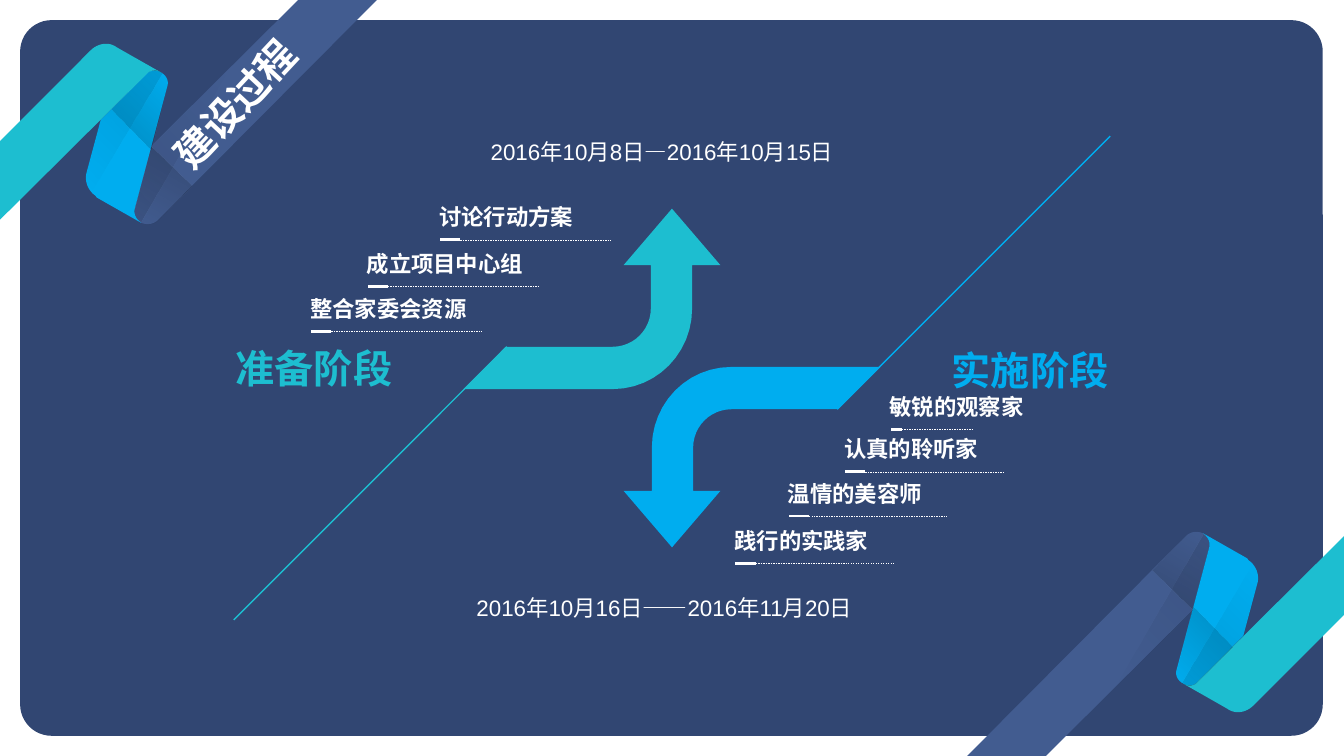
from lxml.etree import SubElement
from pptx import Presentation
from pptx.dml.color import RGBColor
from pptx.enum.dml import MSO_LINE
from pptx.enum.shapes import MSO_CONNECTOR, MSO_SHAPE
from pptx.enum.text import MSO_ANCHOR, PP_ALIGN
from pptx.oxml.ns import qn
from pptx.util import Inches, Pt

COLS, ROWS = 1334, 750
UNIT = Inches(13.34) // COLS

WHITE = RGBColor(0xFF, 0xFF, 0xFF)
BLACK = RGBColor(0, 0, 0)
NAVY = RGBColor(0x31, 0x46, 0x72)
SLATE = RGBColor(0x42, 0x5C, 0x90)
BLUE = RGBColor(0x00, 0xAD, 0xEF)
TEAL = RGBColor(0x1D, 0xBE, 0xD0)

LATIN, CJK = "Arial", "Noto Sans CJK SC"

SLATE_TURN = [(151, 223, 145, 223, 140, 221), (136, 218, 132, 213, 134, 206)]
BLUE_TURN = [(149, 69, 155, 69, 160, 72), (165, 75, 168, 80, 166, 86)]
RIBBON = [
    (SLATE, [(374, 0), (156, 219), *SLATE_TURN, (150, 145), (296, 0)]),
    ((0, 20, 300), [(150, 145), (190, 184), (156, 219), *SLATE_TURN]),
    ((10, 0, 315), [(229, 66), (140, 220), SLATE_TURN[1], (150, 145)]),
    (BLUE, [(166, 86), (134, 206), (132, 213, 136, 218, 140, 221), (96, 196),
            (95, 194, 93, 193, 92, 192), (86, 186, 84, 178, 86, 171),
            (100, 119), (145, 74), *BLUE_TURN]),
    (TEAL, [(160, 72), (155, 69, 149, 69, 145, 74), (0, 218), (0, 140),
            (90, 50), (97, 43, 108, 41, 116, 47)]),
    ((0, 20, 135), [(150, 148), (111, 108), (145, 74), *BLUE_TURN]),
    ((0, 10, 315), [(161, 72), (91, 191), (86, 186, 84, 178, 86, 171),
                    (100, 119), (145, 74), BLUE_TURN[0]]),
]
ARROW = [(228, 179), (270, 137), (376, 137), (397, 137, 414, 120, 414, 99),
         (414, 56), (387, 56), (435, 0), (483, 56), (455, 56), (455, 99),
         (455, 143, 420, 179, 376, 179)]


def add_text(slide, box, text, size=16, color=WHITE, bold=False, font=LATIN,
             align=PP_ALIGN.LEFT, wrap=True, anchor=MSO_ANCHOR.TOP, rotation=0,
             spacing=None):
    s = slide.shapes.add_textbox(*(v * UNIT for v in box))
    s.rotation = rotation
    tf = s.text_frame
    tf.margin_left = tf.margin_right = tf.margin_top = tf.margin_bottom = 0
    tf.word_wrap = wrap
    tf.vertical_anchor = anchor
    p = tf.paragraphs[0]
    p.alignment = align
    p.line_spacing = spacing
    r = p.add_run()
    r.text = text
    r.font.size = Pt(size)
    r.font.bold = bold
    r.font.color.rgb = color
    r.font.name = font
    SubElement(r.font._element, qn("a:ea")).set("typeface", CJK)


def add_line(slide, start, end, color=WHITE, width=1.0, dash=None):
    s = slide.shapes.add_connector(
        MSO_CONNECTOR.STRAIGHT, *(round(v * UNIT) for v in (*start, *end)))
    s.line.color.rgb = color
    s.line.width = Pt(width)
    if dash:
        s.line.dash_style = dash
    SubElement(s._element.spPr, qn("a:effectLst"))


def placed(point, box, turned):
    x, y = point
    left, top, width, height = box
    return (left + width - x, top + height - y) if turned else (left + x, top + y)


def flatten(outline, steps=12):
    points = []
    for node in outline:
        if len(node) == 2:
            points.append(node)
            continue
        curve = [points[-1], node[:2], node[2:4], node[4:]]
        for i in range(1, steps + 1):
            t = i / steps
            weights = ((1 - t) ** 3, 3 * t * (1 - t) ** 2, 3 * t * t * (1 - t), t ** 3)
            points.append(tuple(sum(w * c[axis] for w, c in zip(weights, curve))
                                for axis in (0, 1)))
    return points


def add_outline(slide, outline, box, fill, turned):
    points = [tuple(round(v * UNIT) for v in placed(p, box, turned))
              for p in flatten(outline)]
    builder = slide.shapes.build_freeform(*points[0], scale=1.0)
    builder.add_line_segments(points[1:], close=True)
    s = builder.convert_to_shape()
    s.shadow.inherit = False
    s.line.fill.background()
    if isinstance(fill, RGBColor):
        s.fill.solid()
        s.fill.fore_color.rgb = fill
        return
    *alphas, angle = fill
    s.fill.gradient()
    s.fill.gradient_angle = (360 - angle - 180 * turned) % 360
    for stop in s.fill.gradient_stops:
        stop.color.rgb = BLACK
    colors = s._element.spPr.find(qn("a:gradFill")).iter(qn("a:srgbClr"))
    for color, alpha in zip(colors, alphas):
        SubElement(color, qn("a:alpha")).set("val", str(alpha * 1000))


def add_panel(slide, box):
    s = slide.shapes.add_shape(MSO_SHAPE.ROUNDED_RECTANGLE, *(v * UNIT for v in box))
    s.adjustments[0] = 0.044
    s.shadow.inherit = False
    s.fill.solid()
    s.fill.fore_color.rgb = NAVY
    s.line.fill.background()


def add_ribbon(slide, box, turned=False):
    for fill, outline in RIBBON:
        add_outline(slide, outline, box, fill, turned)


def add_arrow(slide, box, color, turned=False):
    add_outline(slide, ARROW, box, color, turned)
    add_line(slide, placed((0, 408), box, turned),
             placed((271, 137), box, turned), color=color)


def add_step(slide, box, text, bar, rule):
    x, y, width, height = box
    base = y + 36
    add_text(slide, box, text, bold=True)
    add_line(slide, (x + bar, base), (x + 1, base), width=2)
    add_line(slide, (x + bar, base), (x + rule, base), width=0.25, dash=MSO_LINE.DASH)


def add_phase(slide, origin, color, heading, dates, steps, align=PP_ALIGN.LEFT):
    left, top = origin
    text, x, y = heading
    add_text(slide, (left + x, top + y, 261, 47), text, size=28, color=color,
             bold=True, align=align)
    text, x, y, width = dates
    add_text(slide, (left + x, top + y, width, 53), text)
    for text, x, y, width, bar, rule in steps:
        add_step(slide, (left + x, top + y, width, 27), text, bar, rule)


def main():
    prs = Presentation()
    prs.slide_width, prs.slide_height = COLS * UNIT, ROWS * UNIT
    slide = prs.slides.add_slide(prs.slide_layouts[6])
    add_panel(slide, (20, 20, 1293, 710))
    add_ribbon(slide, (0, 0, 374, 224))
    add_ribbon(slide, (960, 526, 374, 224), turned=True)
    add_text(slide, (145, 77, 180, 55), "建设过程", size=28, bold=True, font=CJK,
             align=PP_ALIGN.CENTER, anchor=MSO_ANCHOR.MIDDLE, wrap=False,
             rotation=313.1, spacing=0.9)
    add_arrow(slide, (619, 135, 483, 408), BLUE, turned=True)
    add_arrow(slide, (232, 207, 483, 408), TEAL)
    add_phase(slide, (234, 137), TEAL, ("准备阶段", 0, 205),
              ("2016年10月8日—2016年10月15日", 253, 0, 359),
              [("讨论行动方案", 202, 65, 560, 21, 170),
               ("成立项目中心组", 130, 111, 560, 21, 170),
               ("整合家委会资源", 74, 156, 560, 21, 170)])
    add_phase(slide, (473, 344), BLUE, ("实施阶段", 366, 0),
              ("2016年10月16日——2016年11月20日", 0, 245, 387),
              [("敏锐的观察家", 410, 46, 289, 12, 83),
               ("认真的聆听家", 365, 88, 237, 21, 158),
               ("温情的美容师", 309, 132, 221, 21, 158),
               ("践行的实践家", 256, 179, 220, 21, 158)],
              align=PP_ALIGN.RIGHT)
    prs.save("out.pptx")


if __name__ == "__main__":
    main()
